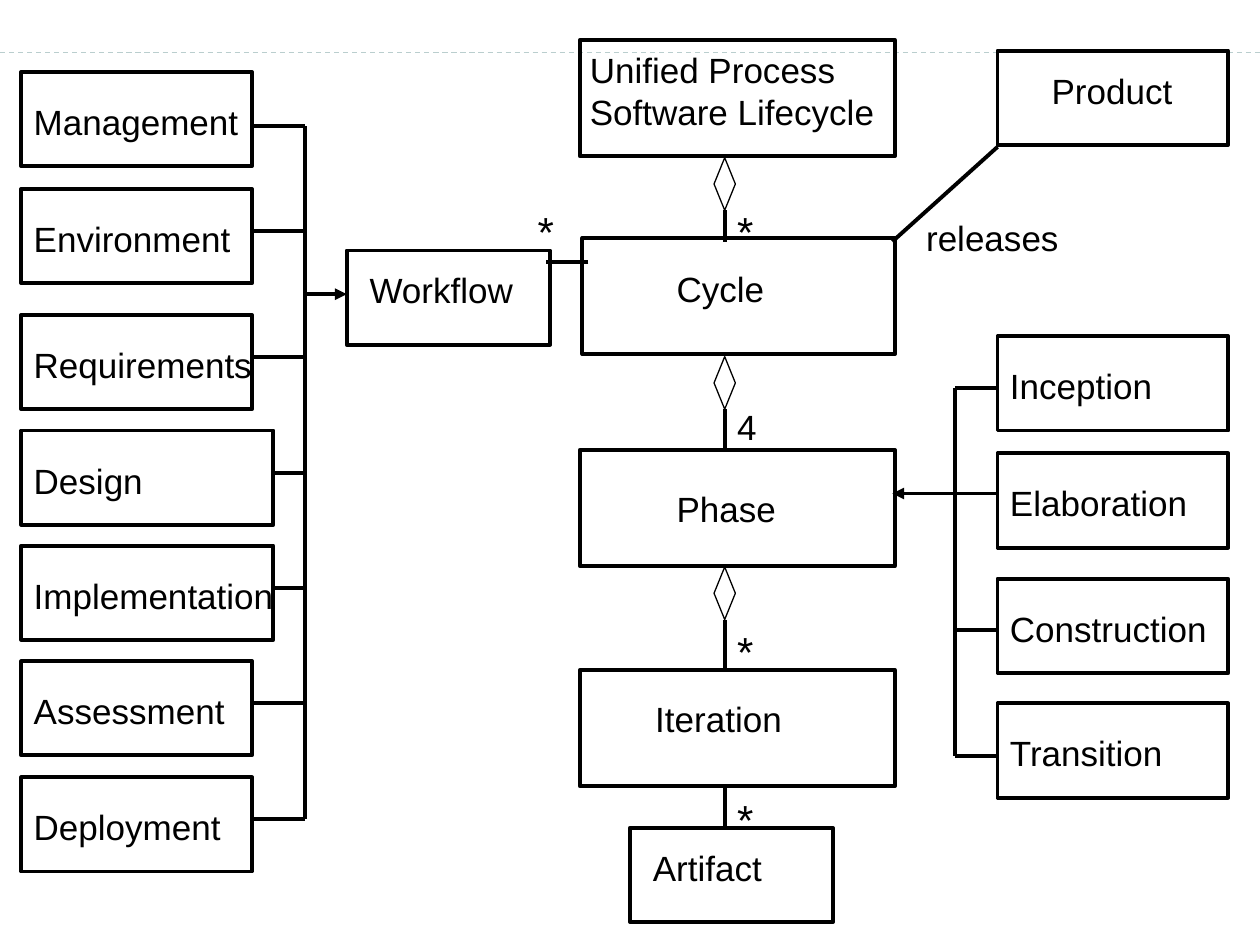
"""Build a class diagram of the Unified Process software lifecycle."""
from dataclasses import dataclass
from typing import NamedTuple, Optional

from lxml import etree
from pptx import Presentation
from pptx import util as u
from pptx.dml import color
from pptx.enum import dml, shapes, text
from pptx.oxml import ns


@dataclass(frozen=True)
class Theme:
    ink: str = "000000"
    rule: str = "BACECE"
    font: str = "Arial"
    body: float = 20
    star: float = 24
    thick: float = 2.25
    thin: float = 0.75


class Box(NamedTuple):
    label: str
    left: float
    top: float
    width: float
    height: float
    dx: float
    dy: float
    span: float


class Row(NamedTuple):
    label: str
    top: float
    span: float
    stub: float
    width: float = 4.65


class Link(NamedTuple):
    top: float
    end: float


class Mark(NamedTuple):
    label: str
    left: float
    top: float
    span: float
    size: float


LOOK = Theme()
LEFT, RIGHT = 0.43, 20.11
HIGH, DROP = 1.9, 0.45
BUS, FORK, STEM = 6.14, 19.26, 14.61
GEM_W, GEM_H = 0.43, 1.06

BOXES = [
    Box("Unified Process\nSoftware Lifecycle", 11.69, 0.81, 6.35, 2.34, -0.05, 0.04, 6.25),
    Box("Cycle", 11.74, 4.8, 6.3, 2.34, 1.65, 0.46, 2.26),
    Box("Phase", 11.69, 9.07, 6.35, 2.34, 1.7, 0.63, 2.51),
    Box("Iteration", 11.69, 13.51, 6.35, 2.34, 1.27, 0.43, 3.05),
    Box("Artifact", 12.7, 16.69, 4.09, HIGH, 0.21, 0.25, 2.69),
    Box("Workflow", 6.99, 5.05, 4.1, HIGH, 0.21, 0.23, 3.4),
    Box("Product", RIGHT, 1.02, 4.65, HIGH, 0.84, 0.25, 2.95),
]
FLOWS = [
    Row("Management", 1.45, 4.62, 2.54),
    Row("Environment", 3.81, 4.47, 4.65),
    Row("Requirements", 6.35, 4.9, 7.19),
    Row("Design", 8.68, 2.69, 9.53, 5.08),
    Row("Implementation", 11, 5.33, 11.86, 5.08),
    Row("Assessment", 13.33, 4.34, 14.18),
    Row("Deployment", 15.67, 4.27, 16.51),
]
STEPS = [
    Row("Inception", 6.78, 3.38, 7.83),
    Row("Elaboration", 9.14, 4.09, 9.95),
    Row("Construction", 11.67, 4.47, 12.7),
    Row("Transition", 14.18, 3.61, 15.24),
]
LINKS = [Link(3.18, 4.87), Link(7.19, 9.08), Link(11.43, 13.54)]
MARKS = [
    Mark("*", 10.59, 4.01, 0.84, LOOK.star),
    Mark("*", STEM, 4.01, 0.84, LOOK.star),
    Mark("*", STEM, 12.49, 0.84, LOOK.star),
    Mark("*", STEM, 15.88, 0.84, LOOK.star),
    Mark("4", STEM, 8.05, 0.89, LOOK.body),
    Mark("releases", 18.42, 4.24, 3.18, LOOK.body),
]


def tint(hue: str) -> color.RGBColor:
    """Turn a hex string into a colour."""
    return color.RGBColor.from_string(hue)


def shape(slide, kind, left: float, top: float, width: float, height: float,
          weight: float = LOOK.thick):
    """Draw an outlined shape with no fill."""
    item = slide.shapes.add_shape(kind, u.Cm(left), u.Cm(top), u.Cm(width), u.Cm(height))
    item.shadow.inherit = False
    item.fill.background()
    item.line.color.rgb = tint(LOOK.ink)
    item.line.width = u.Pt(weight)
    return item


def words(slide, label: str, left: float, top: float, span: float, *,
          size: float = LOOK.body, hue: str = LOOK.ink, font: str = LOOK.font) -> None:
    """Write text, one paragraph a line, with room to spare on the right."""
    lines = label.split("\n")
    height = (len(lines) * size * 1.17 + 7.2) * 2.54 / 72
    frame = slide.shapes.add_textbox(u.Cm(left), u.Cm(top), u.Cm(span), u.Cm(height)).text_frame
    frame.word_wrap = True
    frame.margin_right = 0
    frame.auto_size = text.MSO_AUTO_SIZE.SHAPE_TO_FIT_TEXT
    frame.text = label
    for para in frame.paragraphs:
        para.font.size = u.Pt(size)
        para.font.name = font
        para.font.color.rgb = tint(hue)


def line(slide, x1: float, y1: float, x2: float, y2: float, *, hue: str = LOOK.ink,
         weight: float = LOOK.thick, dash: bool = False, arrow: bool = False,
         start: Optional[object] = None) -> None:
    """Draw a straight line, with a joined start, dashes or an arrowhead if asked."""
    item = slide.shapes.add_connector(
        shapes.MSO_CONNECTOR.STRAIGHT, u.Cm(x1), u.Cm(y1), u.Cm(x2), u.Cm(y2))
    item.line.color.rgb = tint(hue)
    item.line.width = u.Pt(weight)
    if dash:
        item.line.dash_style = dml.MSO_LINE.DASH
    if arrow:
        etree.SubElement(item.line._get_or_add_ln(), ns.qn("a:tailEnd"), type="triangle")
    etree.SubElement(item._element.spPr, ns.qn("a:effectLst"))
    if start is not None:
        item.begin_connect(start, 2)


def box(slide, part: Box) -> None:
    """Draw a class box and its name."""
    shape(slide, shapes.MSO_SHAPE.RECTANGLE, part.left, part.top, part.width, part.height)
    words(slide, part.label, part.left + part.dx, part.top + part.dy, part.span)


def tree(slide, rows: list[Row], left: float, bus: float) -> None:
    """Draw a column of boxes joined to one upright line."""
    for row in rows:
        box(slide, Box(row.label, left, row.top, row.width, HIGH, 0, DROP, row.span))
        edge = left + row.width if bus > left else left
        line(slide, bus, row.stub, edge, row.stub)
    line(slide, bus, rows[0].stub, bus, rows[-1].stub)


def link(slide, part: Link) -> None:
    """Draw a diamond and the line below it."""
    gem = shape(slide, shapes.MSO_SHAPE.DIAMOND, STEM - GEM_W / 2, part.top,
                GEM_W, GEM_H, LOOK.thin)
    line(slide, STEM, part.top + GEM_H, STEM, part.end, start=gem)


def main() -> None:
    """Build and save the slide."""
    deck = Presentation()
    deck.slide_width, deck.slide_height = u.Cm(25.4), u.Cm(19.05)
    slide = deck.slides.add_slide(deck.slide_layouts[6])
    line(slide, 0, 1.06, 25.4, 1.06, hue=LOOK.rule, weight=LOOK.thin, dash=True)
    for part in BOXES:
        box(slide, part)
    tree(slide, FLOWS, LEFT, BUS)
    tree(slide, STEPS, RIGHT, FORK)
    for part in LINKS:
        link(slide, part)
    line(slide, BUS, 5.93, 6.99, 5.93, arrow=True)
    line(slide, FORK, 9.95, 17.99, 9.95, arrow=True)
    line(slide, 11.86, 5.29, 11, 5.29)
    line(slide, STEM, 15.88, STEM, 16.72)
    line(slide, RIGHT, 2.96, 17.99, 4.87)
    for mark in MARKS:
        words(slide, mark.label, mark.left, mark.top, mark.span, size=mark.size)
    deck.save("out.pptx")


if __name__ == "__main__":
    main()
